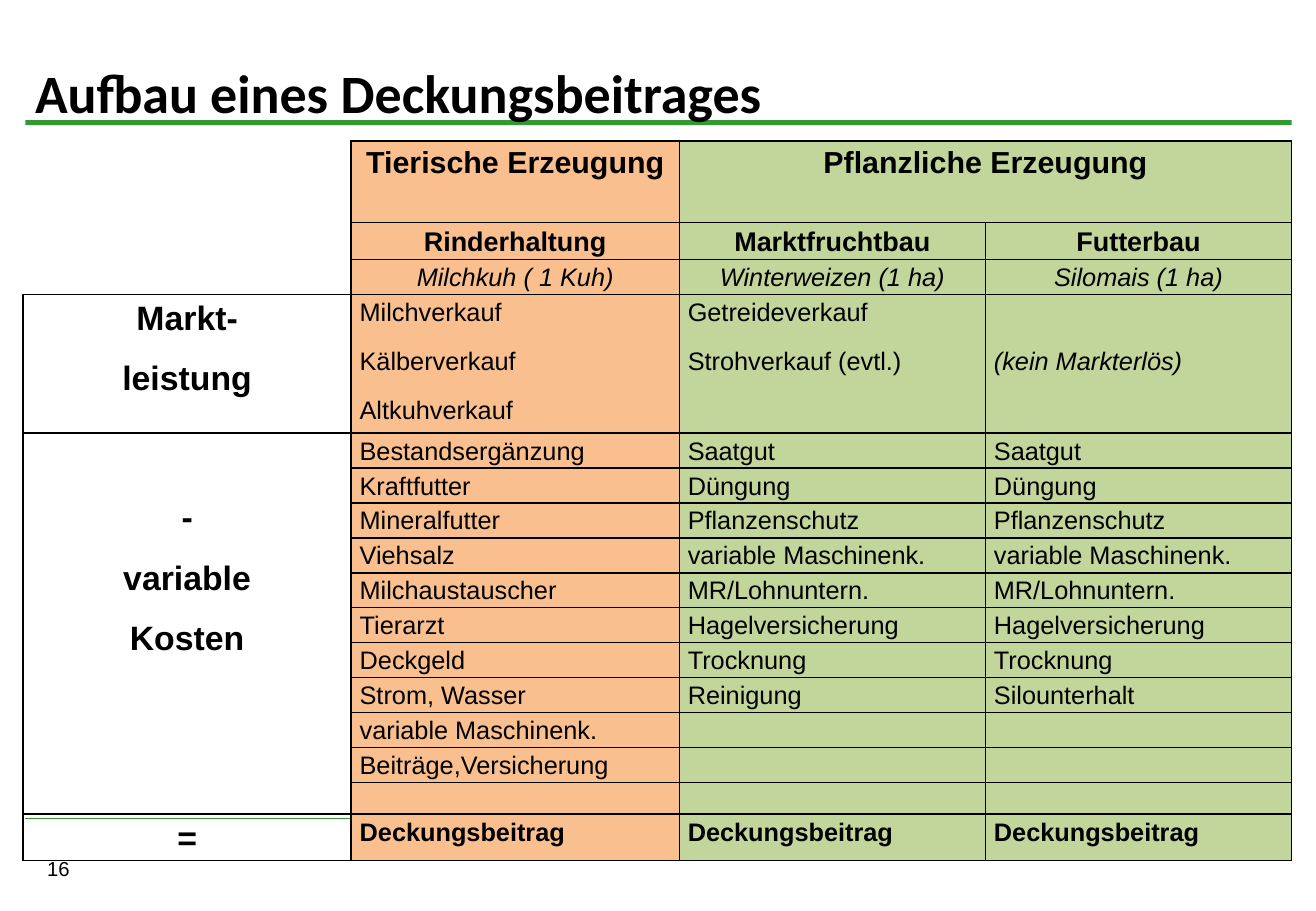
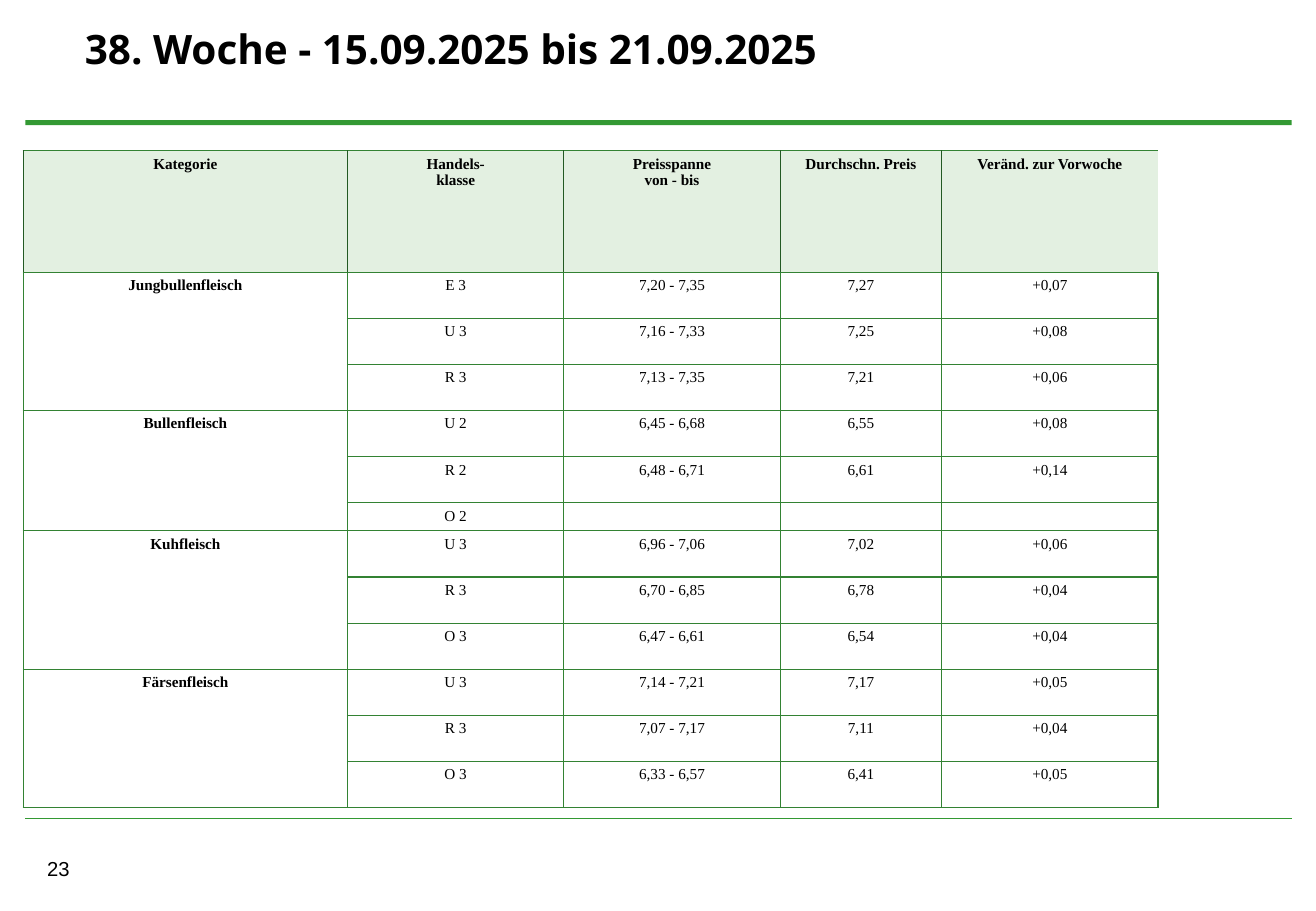
from lxml import etree
from pptx import Presentation
from pptx.dml.color import RGBColor
from pptx.enum.shapes import MSO_CONNECTOR, MSO_SHAPE
from pptx.enum.text import MSO_ANCHOR, PP_ALIGN
from pptx.oxml.ns import qn
from pptx.util import Inches, Pt

COLORS = {
    "black": "000000",
    "rule": "339933",
    "animal": "FABF8F",
    "plant": "C2D69B",
    "grid": "338233",
    "head_grid": "235A23",
    "head": "E3F0E1",
    "white": "FFFFFF",
}
SIDES = "LRTB"

# Contribution margin: label, animal column, two plant columns
MARGIN_ROWS = [
    ("", "Tierische Erzeugung", "Pflanzliche Erzeugung", ""),
    ("", "Rinderhaltung", "Marktfruchtbau", "Futterbau"),
    ("", "Milchkuh ( 1 Kuh)", "Winterweizen (1 ha)", "Silomais (1 ha)"),
    ("Markt-\nleistung", "Milchverkauf\nKälberverkauf\nAltkuhverkauf",
     "Getreideverkauf\nStrohverkauf (evtl.)", "(kein Markterlös)"),
    ("-\nvariable\nKosten", "Bestandsergänzung", "Saatgut", "Saatgut"),
    ("", "Kraftfutter", "Düngung", "Düngung"),
    ("", "Mineralfutter", "Pflanzenschutz", "Pflanzenschutz"),
    ("", "Viehsalz", "variable Maschinenk.", "variable Maschinenk."),
    ("", "Milchaustauscher", "MR/Lohnuntern.", "MR/Lohnuntern."),
    ("", "Tierarzt", "Hagelversicherung", "Hagelversicherung"),
    ("", "Deckgeld", "Trocknung", "Trocknung"),
    ("", "Strom, Wasser", "Reinigung", "Silounterhalt"),
    ("", "variable Maschinenk.", "", ""),
    ("", "Beiträge,Versicherung", "", ""),
    ("", "", "", ""),
    ("=", "Deckungsbeitrag", "Deckungsbeitrag", "Deckungsbeitrag"),
]
INCOME_ROW, COST_ROW, RESULT_ROW = 3, 4, 15

# Weekly meat prices, three trade classes per category
PRICE_ROWS = [
    ("Kategorie", "Handels-\nklasse", "Preisspanne\nvon - bis",
     "Durchschn. Preis", "Veränd. zur Vorwoche"),
    ("Jungbullenfleisch", "E 3", "7,20 - 7,35", "7,27", "+0,07"),
    ("", "U 3", "7,16 - 7,33", "7,25", "+0,08"),
    ("", "R 3", "7,13 - 7,35", "7,21", "+0,06"),
    ("Bullenfleisch", "U 2", "6,45 - 6,68", "6,55", "+0,08"),
    ("", "R 2", "6,48 - 6,71", "6,61", "+0,14"),
    ("", "O 2", "", "", ""),
    ("Kuhfleisch", "U 3", "6,96 - 7,06", "7,02", "+0,06"),
    ("", "R 3", "6,70 - 6,85", "6,78", "+0,04"),
    ("", "O 3", "6,47 - 6,61", "6,54", "+0,04"),
    ("Färsenfleisch", "U 3", "7,14 - 7,21", "7,17", "+0,05"),
    ("", "R 3", "7,07 - 7,17", "7,11", "+0,04"),
    ("", "O 3", "6,33 - 6,57", "6,41", "+0,05"),
]
CLASSES = 3


def rgb(name):
    return RGBColor.from_string(COLORS[name])


def write_text(tf, text, size=15, font="Arial", bold=False, italic=False,
               align=PP_ALIGN.LEFT, spacing=None, after=None):
    """Fill a text frame, one paragraph per line of text."""
    tf.text = text
    for p in tf.paragraphs:
        p.alignment = align
        if spacing:
            p.line_spacing = spacing
        if after:
            p.space_after = Pt(after)
        for r in p.runs:
            r.font.name, r.font.size = font, Pt(size)
            r.font.bold, r.font.italic = bold, italic
            r.font.color.rgb = rgb("black")
        if not p.runs:
            etree.SubElement(p._p, qn("a:endParaRPr"), sz=str(size * 100))


def add_text(s, box, text, anchor=MSO_ANCHOR.TOP, **fmt):
    tf = s.shapes.add_textbox(*map(Inches, box)).text_frame
    tf.word_wrap = True
    tf.vertical_anchor = anchor
    write_text(tf, text, **fmt)


def add_base_slide(prs, number):
    """Blank slide with the green rules and the page number."""
    s = prs.slides.add_slide(prs.slide_layouts[6])
    bar = s.shapes.add_shape(MSO_SHAPE.RECTANGLE, Inches(0.21), Inches(0.99),
                             Inches(10.42), Inches(0.04))
    bar.shadow.inherit = False
    bar.fill.solid()
    bar.fill.fore_color.rgb = rgb("rule")
    bar.line.fill.background()
    line = s.shapes.add_connector(MSO_CONNECTOR.STRAIGHT, Inches(0.21),
                                  Inches(6.74), Inches(10.63), Inches(6.74))
    line.line.color.rgb = rgb("rule")
    line.line.width = Pt(0.75)
    etree.SubElement(line._element.spPr, qn("a:effectLst"))
    add_text(s, (0.29, 7, 2.55, 0.3), str(number), size=12)
    return s


def add_grid(s, left, top, widths, heights):
    frame = s.shapes.add_table(len(heights), len(widths), Inches(left),
                               Inches(top), Inches(sum(widths)),
                               Inches(sum(heights)))
    table = frame.table
    table.first_row = table.horz_banding = False
    for col, width in zip(table.columns, widths):
        col.width = Inches(width)
    for row, height in zip(table.rows, heights):
        row.height = Inches(height)
    return table


def style_cell(cell, borders, fill=None, side=0.07, top=0, bottom=0):
    """Set borders as {side: (colour, width)}, then fill and margins."""
    tc_pr = cell._tc.get_or_add_tcPr()
    for edge in SIDES:
        color, width = borders.get(edge, (None, 0))
        ln = etree.SubElement(tc_pr, qn(f"a:ln{edge}"), w=str(int(Pt(width))))
        if color:
            paint = etree.SubElement(ln, qn("a:solidFill"))
            etree.SubElement(paint, qn("a:srgbClr"), val=COLORS[color])
        else:
            etree.SubElement(ln, qn("a:noFill"))
    if fill:
        cell.fill.solid()
        cell.fill.fore_color.rgb = rgb(fill)
    else:
        cell.fill.background()
    cell.margin_left = cell.margin_right = Inches(side)
    cell.margin_top, cell.margin_bottom = Inches(top), Inches(bottom)


def margin_format(row, col):
    """Text format of a cell in the contribution margin table."""
    fmt = {"spacing": 1.15, "after": 10}
    if row < INCOME_ROW:
        fmt.update(size=(18, 16, 15)[row], bold=row < 2, italic=row == 2,
                   align=PP_ALIGN.CENTER)
    elif col == 0:
        fmt.update(size=20, bold=True, align=PP_ALIGN.CENTER)
    else:
        fmt.update(bold=row == RESULT_ROW,
                   italic=(row, col) == (INCOME_ROW, 3))
    return fmt


def margin_borders(row, col):
    if col == 0 and row < INCOME_ROW:
        edges = "RB" if row == INCOME_ROW - 1 else "R"
    else:
        edges = SIDES
    borders = {edge: ("black", 1) for edge in edges}
    if row == INCOME_ROW:
        borders["B"] = ("black", 1.5)
    elif row == COST_ROW:
        borders["T"] = ("black", 1.5)
    return borders


def add_margin_table(s):
    heights = [0.67, 0.28, 0.26, 1.08] + [0.26] * 11 + [0.36]
    table = add_grid(s, 0.19, 1.16, [2.7, 2.7, 2.52, 2.52], heights)
    fills = (None, "animal", "plant", "plant")
    drops = {(INCOME_ROW, 3): 0.4, (COST_ROW, 0): 0.5}
    for i, row in enumerate(MARGIN_ROWS):
        for j, text in enumerate(row):
            cell = table.cell(i, j)
            style_cell(cell, margin_borders(i, j), fills[j],
                       top=drops.get((i, j), 0))
            fmt = margin_format(i, j) if text else {"size": 12}
            write_text(cell.text_frame, text, **fmt)
    table.cell(0, 2).merge(table.cell(0, 3))
    table.cell(COST_ROW, 0).merge(table.cell(RESULT_ROW - 1, 0))


def add_price_table(s):
    heights = [1] + [0.38] * 5 + [0.23] + [0.38] * 6
    table = add_grid(s, 0.19, 1.24, [2.67, 1.78, 1.78, 1.33, 1.78], heights)
    for i, row in enumerate(PRICE_ROWS):
        head = i == 0
        for j, text in enumerate(row):
            cell = table.cell(i, j)
            borders = {edge: ("grid", 0.75) for edge in SIDES}
            if head:
                borders["L"] = borders["R"] = ("head_grid", 0.75)
                if j == len(row) - 1:
                    del borders["R"]
            style_cell(cell, borders, "head" if head else "white",
                       side=0.05 if head else 0.03, top=0.04, bottom=0.04)
            write_text(cell.text_frame, text, size=9, font="Times New Roman",
                       bold=head or j == 0, align=PP_ALIGN.CENTER)
    for i in range(1, len(PRICE_ROWS), CLASSES):
        table.cell(i, 0).merge(table.cell(i + CLASSES - 1, 0))


def main():
    prs = Presentation()
    prs.slide_width, prs.slide_height = Inches(10.83), Inches(7.5)

    # Structure of a contribution margin
    s = add_base_slide(prs, 16)
    add_text(s, (0.19, 0.32, 10.45, 0.87), "Aufbau eines Deckungsbeitrages",
             anchor=MSO_ANCHOR.MIDDLE, size=32, font="Calibri", bold=True)
    add_margin_table(s)

    # Prices of the week
    s = add_base_slide(prs, 23)
    add_price_table(s)
    add_text(s, (0.6, 0.15, 7.97, 0.5), "38. Woche - 15.09.2025 bis 21.09.2025",
             size=24, font="Open Sans", bold=True)

    prs.save("out.pptx")


if __name__ == "__main__":
    main()
